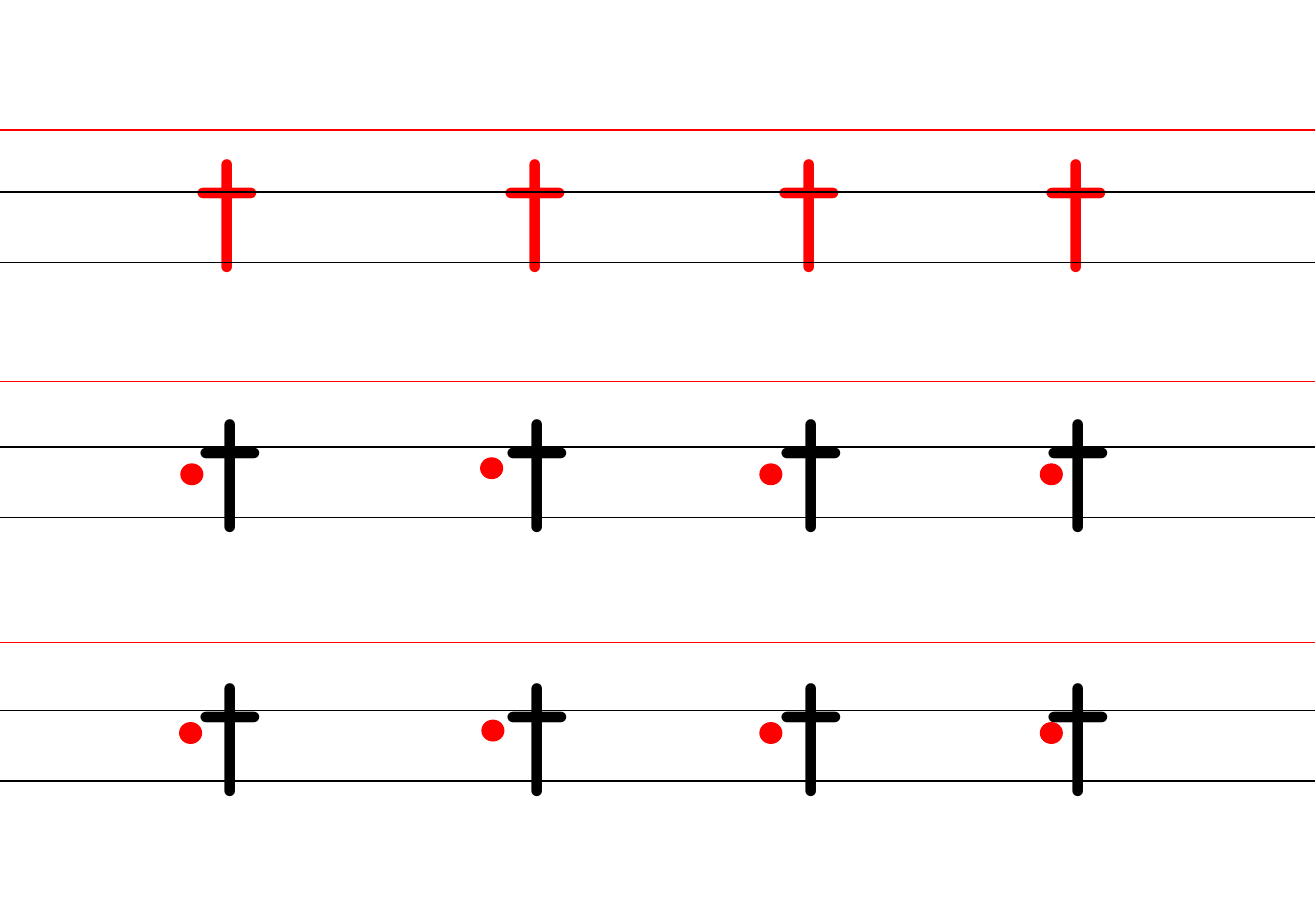
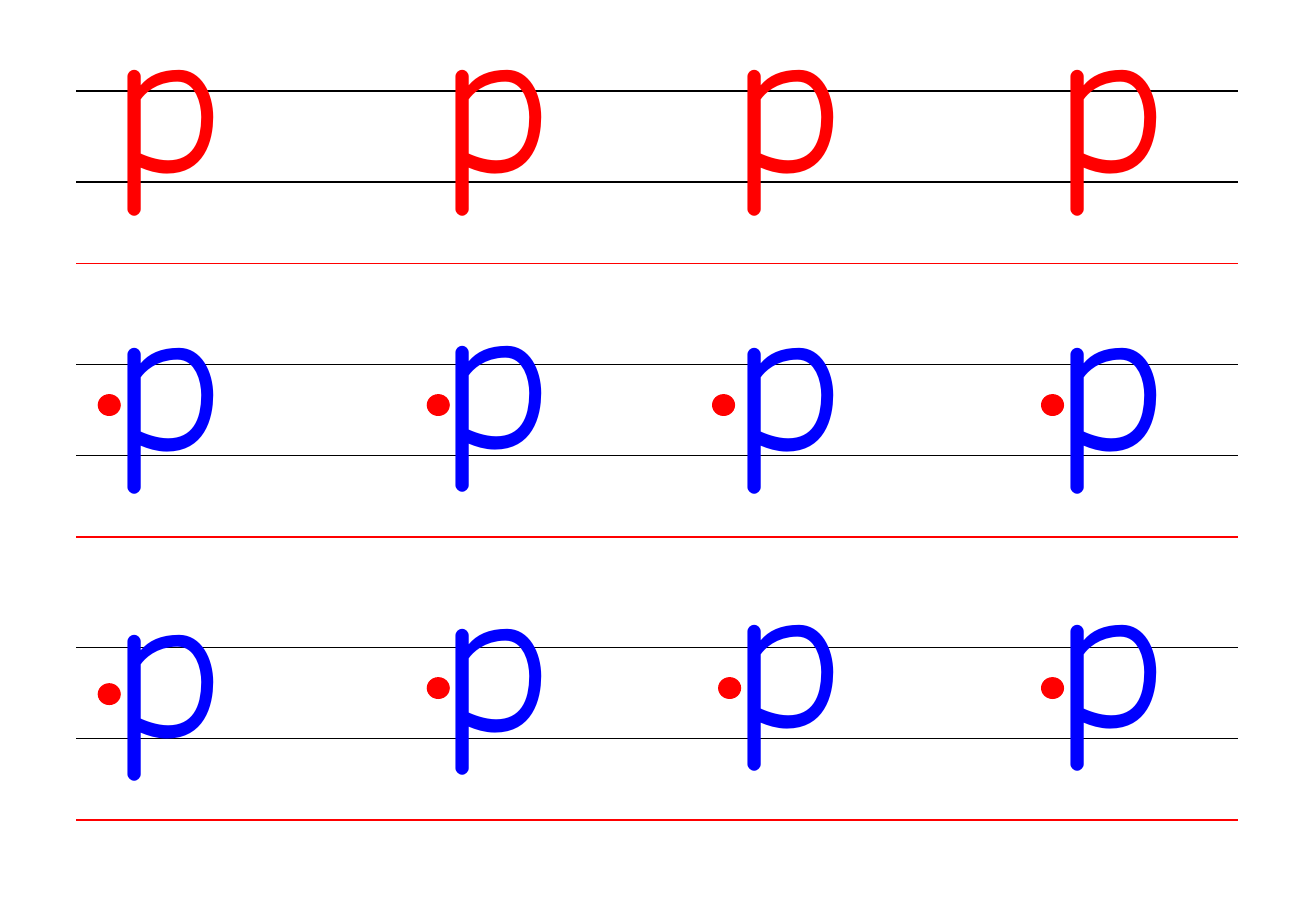
from pptx import Presentation
from pptx import util as u
from pptx.dml.color import RGBColor
from pptx.enum import shapes
from pptx.oxml.ns import qn
from lxml import etree

COLORS = {"red": "FF0000", "black": "000000", "blue": "0000FF"}
FONT = "Comic Neue"
BLANK_LAYOUT = 6


class Worksheet:
    def __init__(self):
        self.deck = Presentation()
        self.deck.slide_width = u.Inches(10.84)
        self.deck.slide_height = u.Inches(7.5)
        self.page = None

    def add_page(self):
        layout = self.deck.slide_layouts[BLANK_LAYOUT]
        self.page = self.deck.slides.add_slide(layout)

    def rule(self, left, right, y, color):
        line = self.page.shapes.add_connector(
            shapes.MSO_CONNECTOR.STRAIGHT,
            u.Inches(left), u.Inches(y), u.Inches(right), u.Inches(y))
        line.line.color.rgb = RGBColor.from_string(COLORS[color])
        line.line.width = u.Pt(1)
        etree.SubElement(line._element.spPr, qn("a:effectLst"))

    def letter(self, char, left, top, width, height, size, color):
        box = self.page.shapes.add_textbox(
            u.Inches(left), u.Inches(top), u.Inches(width), u.Inches(height))
        box.text_frame.word_wrap = True
        box.text_frame.text = char
        font = box.text_frame.paragraphs[0].runs[0].font
        font.name = FONT
        font.size = u.Pt(size)
        font.color.rgb = RGBColor.from_string(COLORS[color])

    def start_dot(self, left, top):
        """Mark where the pupil begins to write."""
        dot = self.page.shapes.add_shape(
            shapes.MSO_SHAPE.OVAL,
            u.Inches(left), u.Inches(top), u.Inches(0.18), u.Inches(0.17))
        red = RGBColor.from_string(COLORS["red"])
        dot.shadow.inherit = False
        dot.fill.solid()
        dot.fill.fore_color.rgb = red
        dot.line.color.rgb = red
        dot.line.width = u.Pt(0.75)


def add_t_page(sheet):
    sheet.add_page()
    # Row: letter top, letter color, shift right, red rule, upper black rule, dots
    rows = [
        (0.8, "red", 0, 1.07, 1.58, []),
        (2.94, "black", 0.02, 3.14, 3.68,
         [(1.49, 3.82), (3.96, 3.77), (6.26, 3.82), (8.57, 3.82)]),
        (5.11, "black", 0.02, 5.29, 5.85,
         [(1.48, 5.95), (3.97, 5.93), (6.26, 5.95), (8.57, 5.95)]),
    ]
    for top, color, shift, red_y, black_y, dots in rows:
        for left in (1.59, 4.12, 6.38, 8.58):
            sheet.letter("t", left + shift, top, 1.08, 1.77, 100, color)
        for y, rule_color in ((red_y, "red"), (black_y, "black"),
                              (black_y + 0.58, "black")):
            sheet.rule(0, 10.83, y, rule_color)
        for left, dot_top in dots:
            sheet.start_dot(left, dot_top)


def add_p_page(sheet):
    sheet.add_page()
    # Row: upper black rule, letter color, letter tops, dots
    rows = [
        (0.75, "red", (-0.35, -0.35, -0.35, -0.35), []),
        (3, "blue", (1.94, 1.92, 1.94, 1.94),
         [(0.81, 3.25), (3.52, 3.25), (5.87, 3.25), (8.58, 3.25)]),
        (5.33, "blue", (4.3, 4.25, 4.22, 4.22),
         [(0.81, 5.63), (3.52, 5.58), (5.92, 5.58), (8.58, 5.58)]),
    ]
    for black_y, color, tops, dots in rows:
        for drop, rule_color in ((0, "black"), (0.75, "black"), (1.42, "red")):
            sheet.rule(0.63, 10.2, black_y + drop, rule_color)
        for left, top in zip((0.82, 3.52, 5.93, 8.59), tops):
            sheet.letter("p", left, top, 1.12, 2.19, 125, color)
        for left, dot_top in dots:
            sheet.start_dot(left, dot_top)


def main():
    sheet = Worksheet()
    add_t_page(sheet)
    add_p_page(sheet)
    sheet.deck.save("out.pptx")


if __name__ == "__main__":
    main()
